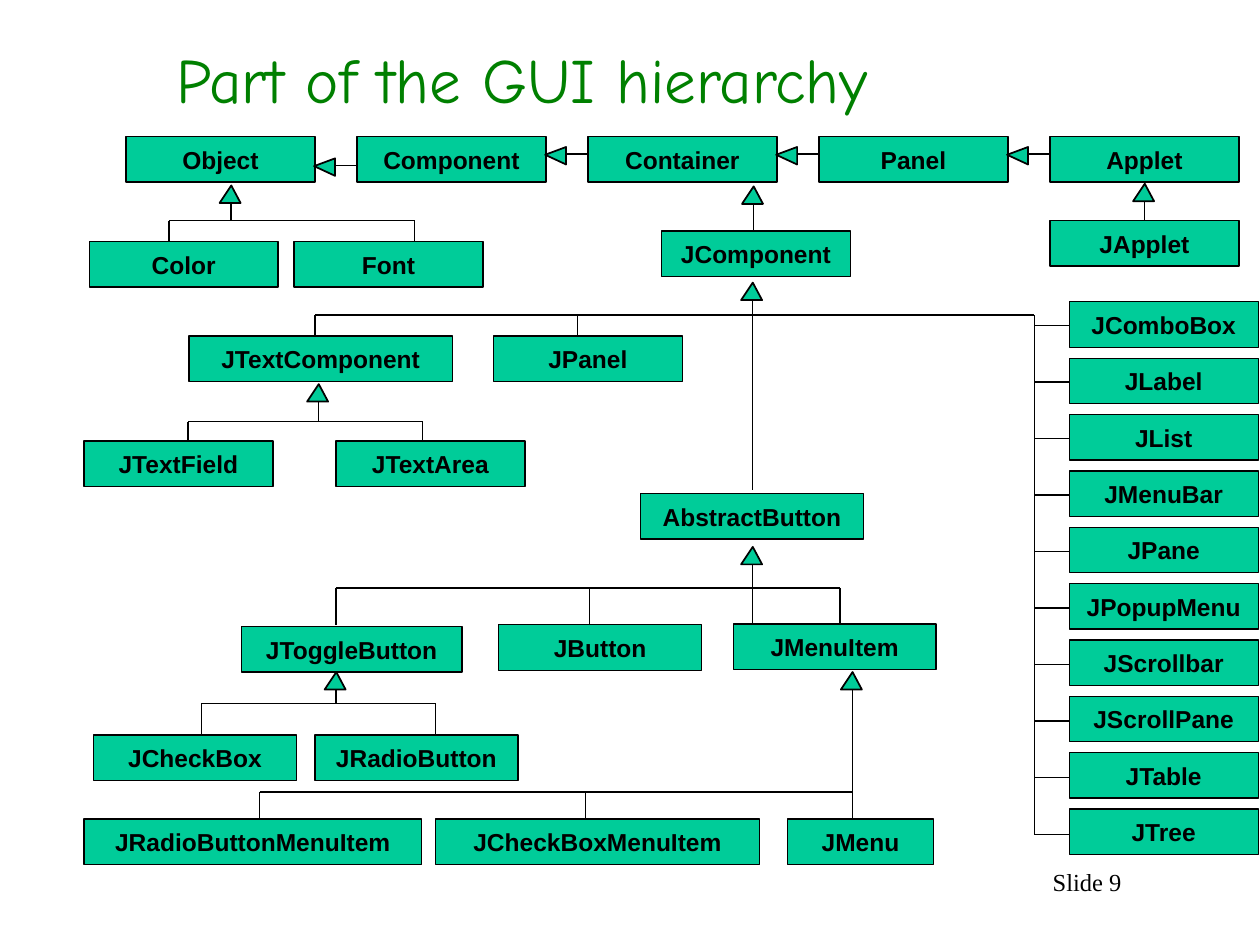
import lxml.etree
import pptx
import pptx.dml.color
import pptx.enum.shapes
import pptx.enum.text
import pptx.oxml.ns
import pptx.util

Pt = pptx.util.Pt
ALIGN = pptx.enum.text.PP_ALIGN
ANCHOR = pptx.enum.text.MSO_ANCHOR
SHAPE = pptx.enum.shapes.MSO_SHAPE
BLACK = pptx.dml.color.RGBColor(0, 0, 0)
TEAL = pptx.dml.color.RGBColor(0x00, 0xCC, 0x99)
GREEN = pptx.dml.color.RGBColor(0x00, 0x80, 0x00)
BOX_HEIGHT = 26


def write(frame, text, font="Arial", size=14, color=BLACK, bold=False,
          align=ALIGN.LEFT, anchor=ANCHOR.TOP, wrap=True):
    frame.word_wrap = wrap
    frame.vertical_anchor = anchor
    paragraph = frame.paragraphs[0]
    paragraph.alignment = align
    run = paragraph.add_run()
    run.text = text
    run.font.name = font
    run.font.size = Pt(size)
    run.font.bold = bold
    run.font.color.rgb = color


class HierarchyDiagram:
    def __init__(self, slide):
        self.slide = slide
        self.fill = TEAL
        self.ink = BLACK
        self.line_width = 0.75

    def text(self, left, top, width, height, text, **style):
        label = self.slide.shapes.add_textbox(Pt(left), Pt(top), Pt(width), Pt(height))
        write(label.text_frame, text, **style)

    def filled(self, kind, left, top, width, height, line_width):
        shape = self.slide.shapes.add_shape(kind, Pt(left), Pt(top), Pt(width), Pt(height))
        shape.shadow.inherit = False
        shape.fill.solid()
        shape.fill.fore_color.rgb = self.fill
        shape.line.color.rgb = self.ink
        shape.line.width = Pt(line_width)
        return shape

    def class_box(self, name, left, top, width=108):
        box = self.filled(SHAPE.RECTANGLE, left, top, width, BOX_HEIGHT, self.line_width)
        write(box.text_frame, name, bold=True, align=ALIGN.CENTER,
              anchor=ANCHOR.MIDDLE, wrap=False)

    def line(self, x1, y1, x2, y2):
        connector = self.slide.shapes.add_connector(
            pptx.enum.shapes.MSO_CONNECTOR.STRAIGHT, Pt(x1), Pt(y1), Pt(x2), Pt(y2))
        connector.line.color.rgb = self.ink
        connector.line.width = Pt(self.line_width)
        lxml.etree.SubElement(connector._element.spPr, pptx.oxml.ns.qn("a:effectLst"))

    def triangle(self, left, top, width, height, rotation=0):
        head = self.filled(SHAPE.ISOSCELES_TRIANGLE, left, top, width, height, 1)
        head.adjustments[0] = 0.556
        head.rotation = rotation

    def inherits_up(self, x, top, bottom):
        self.line(x, top + 2, x, bottom)
        self.triangle(x - 6.5, top, 12, 10)

    def inherits_left(self, left, right, y):
        self.line(left, y, right, y)
        self.triangle(left + 0.5, y - 5, 10, 12, 270)

    def branch(self, stem, top, bus, bottom, children):
        self.inherits_up(stem, top, bus)
        self.line(min(stem, *children), bus, max(stem, *children), bus)
        for child in children:
            self.line(child, bus, child, bottom)


def main():
    deck = pptx.Presentation()
    deck.slide_width, deck.slide_height = Pt(720), Pt(540)
    diagram = HierarchyDiagram(deck.slides.add_slide(deck.slide_layouts[6]))

    diagram.text(94, 0, 626, 90, "Part of the GUI hierarchy", font="Comic Neue",
                 size=36, color=GREEN, anchor=ANCHOR.MIDDLE)
    diagram.text(498, 492, 150, 36, "Slide 9", font="Times New Roman", align=ALIGN.RIGHT)

    for column, name in enumerate(["Object", "Component", "Container", "Panel", "Applet"]):
        diagram.class_box(name, 72 + 132 * column, 78)

    for name, left, top, width in [
        ("Color", 51, 138, 108),
        ("Font", 168, 138, 108),
        ("JComponent", 378, 132, 108),
        ("JApplet", 600, 126, 108),
        ("JTextComponent", 108, 192, 150.5),
        ("JPanel", 282, 192, 108),
        ("JTextField", 48, 252, 108),
        ("JTextArea", 192, 252, 108),
        ("AbstractButton", 366, 282, 127.5),
        ("JToggleButton", 138, 358, 126),
        ("JButton", 285, 357, 116),
        ("JMenuItem", 419, 356.5, 116),
        ("JCheckBox", 53.5, 420, 116),
        ("JRadioButton", 180, 420, 116),
        ("JRadioButtonMenuItem", 48, 468, 193),
        ("JCheckBoxMenuItem", 249, 468, 185),
        ("JMenu", 450, 468, 83.5),
    ]:
        diagram.class_box(name, left, top, width)

    widgets = ["JComboBox", "JLabel", "JList", "JMenuBar", "JPane", "JPopupMenu",
               "JScrollbar", "JScrollPane", "JTable", "JTree"]
    for row, name in enumerate(widgets):
        diagram.class_box(name, 611, 172.5 + 32.2 * row)
        diagram.line(591, 186 + 32.3 * row, 611, 186 + 32.3 * row)

    for gap, y in enumerate([94.5, 88, 88, 88]):
        diagram.inherits_left(180 + 132 * gap, 204 + 132 * gap, y)
    diagram.inherits_up(430.5, 106.5, 132)
    diagram.inherits_up(654, 105, 126)

    diagram.line(430, 180, 591, 180)
    diagram.line(591, 180, 591, 476.5)
    diagram.line(430, 180, 430, 280)
    for stem, top, bus, bottom, children in [
        (132, 106, 126, 138, [96.5, 237]),
        (430, 161.5, 180, 192, [180, 330]),
        (182, 219.5, 241, 252, [107.5, 241.5]),
        (430, 312.5, 336, 357, [192, 337, 430, 480]),
        (192, 384, 402, 420, [115, 249]),
        (487, 384, 452.5, 468, [148.5, 334.5, 487]),
    ]:
        diagram.branch(stem, top, bus, bottom, children)

    deck.save("out.pptx")


if __name__ == "__main__":
    main()
